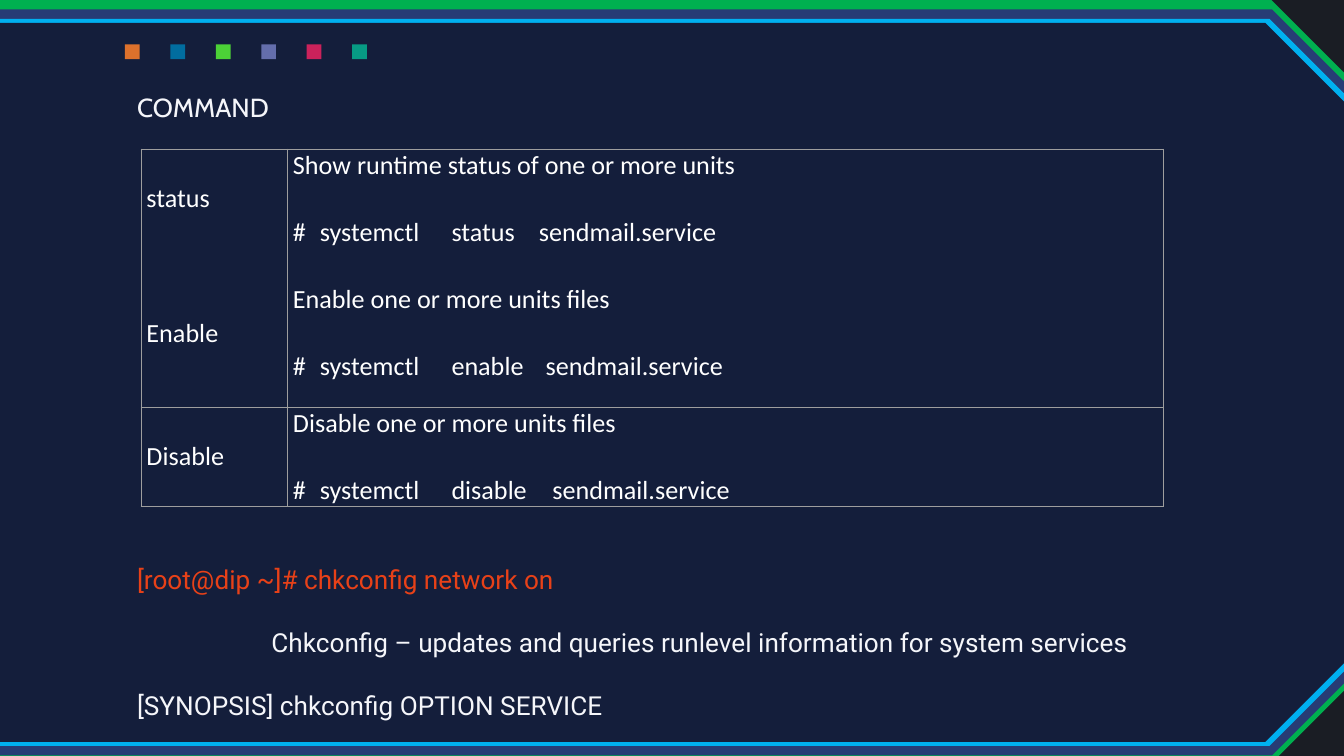
from typing import NamedTuple

from lxml.etree import SubElement
from pptx import Presentation
from pptx.dml.color import RGBColor
from pptx.enum.shapes import MSO_SHAPE as Preset
from pptx.enum.text import MSO_ANCHOR as Anchor
from pptx.oxml.ns import qn
from pptx.util import Inches, Pt

BACKDROP = RGBColor(0x1A, 0x1D, 0x24)
GREEN = RGBColor(0x00, 0xB0, 0x50)
BLUE = RGBColor(0x27, 0x3C, 0x75)
CYAN = RGBColor(0x00, 0xB0, 0xF0)
NAVY = RGBColor(0x14, 0x1E, 0x3B)
WHITE = RGBColor(0xFF, 0xFF, 0xFF)
PALE = RGBColor(0xF5, 0xF6, 0xFA)
RED = RGBColor(0xE8, 0x41, 0x18)
GREY = RGBColor(0x9E, 0x9E, 0x9E)
DOT_COLORS = [
    RGBColor(0xDD, 0x71, 0x2C), RGBColor(0x01, 0x6D, 0x9F),
    RGBColor(0x4C, 0xD1, 0x37), RGBColor(0x64, 0x6E, 0xAC),
    RGBColor(0xCB, 0x22, 0x5B), RGBColor(0x07, 0x9B, 0x84),
]
FIRST_DOT, LAST_DOT = 0.93, 2.62


class Block(NamedTuple):
    preset: Preset
    left: float
    top: float
    width: float
    height: float
    color: RGBColor


class Command(NamedTuple):
    name: str
    purpose: str
    usage: str
    service_tab: float
    height: float
    sides: str  # sides of the row that carry a rule


class Line(NamedTuple):
    text: str
    font: str
    color: RGBColor
    indent: float = 0


FRAME = [
    Block(Preset.PENTAGON, -0.06, 0, 12.36, 5.68, GREEN),
    Block(Preset.PENTAGON, -0.06, 0.07, 12.3, 5.55, BLUE),
    Block(Preset.PENTAGON, 0, 0.14, 12.15, 5.41, CYAN),
    Block(Preset.PENTAGON, -0.08, 0.17, 12.17, 5.35, NAVY),
]
COMMANDS = [
    Command("status", "Show runtime status of one or more units",
            "#\tsystemctl\tstatus\tsendmail.service", 1.83, 1.0, "LRT"),
    Command("Enable", "Enable one or more units files",
            "#\tsystemctl\tenable\tsendmail.service", 1.88, 0.92, "LRB"),
    Command("Disable", "Disable one or more units files",
            "#\tsystemctl\tdisable\tsendmail.service", 1.93, 0.74, "LRTB"),
]
HEADING = [Line("COMMAND", "Cabin", PALE)]
CHKCONFIG = [
    Line("[root@dip ~]# chkconfig network on", "Roboto", RED),
    Line("Chkconfig – updates and queries runlevel information for system services",
         "Roboto", PALE, 1),
    Line("[SYNOPSIS] chkconfig OPTION SERVICE", "Roboto", PALE),
]


def draw_block(slide, block: Block) -> None:
    shape = slide.shapes.add_shape(
        block.preset, Inches(block.left), Inches(block.top),
        Inches(block.width), Inches(block.height))
    shape.shadow.inherit = False
    shape.fill.solid()
    shape.fill.fore_color.rgb = block.color
    shape.line.fill.background()


def add_run(paragraph, text: str, font: str, color: RGBColor) -> None:
    run = paragraph.add_run()
    run.text = text
    run.font.name = font
    run.font.size = Pt(14)
    run.font.color.rgb = color


def write_lines(slide, lines: list[Line], left: float, top: float,
                width: float, height: float) -> None:
    frame = slide.shapes.add_textbox(
        Inches(left), Inches(top), Inches(width), Inches(height)).text_frame
    frame.word_wrap = True
    frame.margin_left = frame.margin_right = 0
    frame.margin_top = frame.margin_bottom = 0
    for i, line in enumerate(lines):
        paragraph = frame.add_paragraph() if i else frame.paragraphs[0]
        if i:
            paragraph.space_before = Pt(17)
        if line.indent:
            paragraph._p.get_or_add_pPr().set("marL", str(Inches(line.indent)))
        add_run(paragraph, line.text, line.font, line.color)


def format_cell(cell, sides: str, margin_top: float) -> None:
    tc_pr = cell._tc.get_or_add_tcPr()
    for side in "LRTB":
        rule = SubElement(tc_pr, qn(f"a:ln{side}"), w=str(Pt(0.75)))
        if side in sides:
            fill = SubElement(rule, qn("a:solidFill"))
            SubElement(fill, qn("a:srgbClr"), val=str(GREY))
        else:
            SubElement(rule, qn("a:noFill"))
    cell.fill.background()
    cell.vertical_anchor = Anchor.TOP
    cell.margin_left = Inches(0.04)
    cell.margin_right = cell.margin_bottom = 0
    cell.margin_top = Inches(margin_top)


def set_tabs(paragraph, stops: list[float]) -> None:
    tabs = SubElement(paragraph._p.get_or_add_pPr(), qn("a:tabLst"))
    for stop in stops:
        SubElement(tabs, qn("a:tab"), pos=str(Inches(stop)), algn="l")


def draw_commands(slide, commands: list[Command]) -> None:
    widths = [1.09, 6.52]
    height = sum(command.height for command in commands)
    table = slide.shapes.add_table(
        len(commands), len(widths), Inches(1.05), Inches(1.11),
        Inches(sum(widths)), Inches(height)).table
    table.first_row = table.horz_banding = False
    for column, width in zip(table.columns, widths):
        column.width = Inches(width)
    for i, command in enumerate(commands):
        table.rows[i].height = Inches(command.height)
        name, details = table.cell(i, 0), table.cell(i, 1)
        format_cell(name, command.sides, 0.25)
        format_cell(details, command.sides, 0)
        add_run(name.text_frame.paragraphs[0], command.name, "Calibri", WHITE)
        purpose = details.text_frame.paragraphs[0]
        add_run(purpose, command.purpose, "Calibri", WHITE)
        usage = details.text_frame.add_paragraph()
        set_tabs(usage, [0.2, 1.18, command.service_tab])
        usage.space_before = Pt(19)
        add_run(usage, command.usage, "Calibri", WHITE)


def main() -> None:
    deck = Presentation()
    deck.slide_width = Inches(10)
    deck.slide_height = deck.slide_width * 9 // 16
    slide = deck.slides.add_slide(deck.slide_layouts[6])
    slide.background.fill.solid()
    slide.background.fill.fore_color.rgb = BACKDROP

    # Layered frame and row of coloured squares
    for layer in FRAME:
        draw_block(slide, layer)
    pitch = (LAST_DOT - FIRST_DOT) / (len(DOT_COLORS) - 1)
    for i, color in enumerate(DOT_COLORS):
        draw_block(slide, Block(Preset.RECTANGLE, FIRST_DOT + pitch * i, 0.33,
                                0.11, 0.11, color))

    # Heading, command table and chkconfig notes
    write_lines(slide, HEADING, 1.02, 0.68, 3, 0.25)
    draw_commands(slide, COMMANDS)
    write_lines(slide, CHKCONFIG, 1.02, 4.19, 8, 1.2)

    deck.save("out.pptx")


if __name__ == "__main__":
    main()
